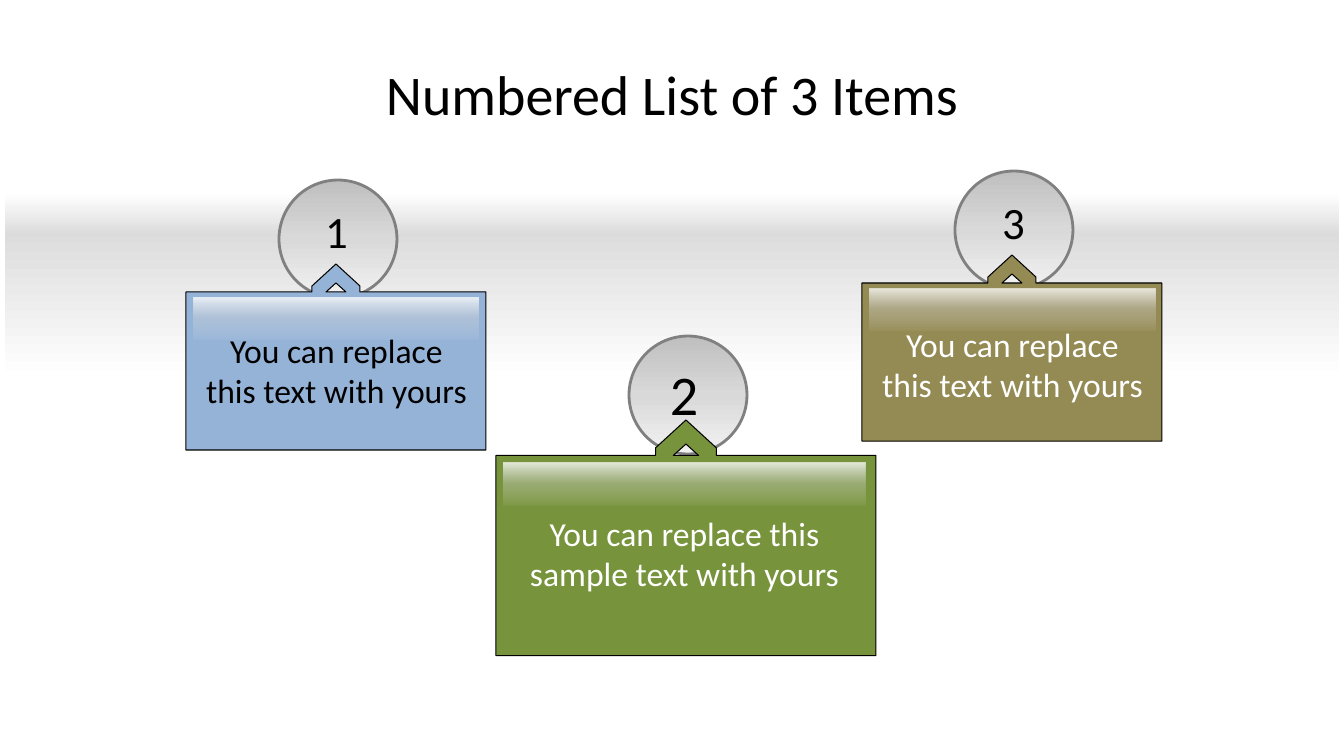
from lxml.etree import SubElement
from pptx import Presentation
from pptx.dml.color import RGBColor
from pptx.enum.shapes import MSO_SHAPE as Preset
from pptx.enum.text import MSO_ANCHOR as Anchor, PP_ALIGN as Align
from pptx.oxml.ns import qn
from pptx.util import Pt

PX = 914400 / 100.8
COLORS = {
    "black": "000000", "white": "FFFFFF", "blue": "95B3D7", "olive": "948A54",
    "green": "77933C", "rim": "808080", "silver": "BFBFBF", "mist": "D9D9D9",
    "pearl": "F2F2F2", "band": "DDDDDD", "band_edge": "DBDBDB",
}
TITLE = "Numbered List of 3 Items"
ITEMS = [
    {"number": "1", "caption": "You can replace this text with yours", "left": 186, "top": 264,
     "width": 300, "number_x": 336, "number_size": 32, "caption_top": 325,
     "fill": "blue", "ink": "black"},
    {"number": "3", "caption": "You can replace this text with yours", "left": 862, "top": 255,
     "width": 300, "number_x": 1013, "number_size": 32, "caption_top": 319,
     "fill": "olive", "ink": "white"},
    {"number": "2", "caption": "You can replace this sample text with yours", "left": 496,
     "top": 420, "width": 380, "number_x": 684, "number_size": 40, "caption_top": 508,
     "fill": "green", "ink": "white"},
]
BANDS = [
    (235, 143, [(0, "band", 100), (100, "white", 100)]),
    (193, 43, [(0, "white", 100), (100, "band_edge", 100)]),
]
BALL = [(0, "silver", 100), (50, "mist", 100), (100, "pearl", 100)]
GLOSS = [(0, "white", 81), (50, "mist", 35), (100, "pearl", 5)]
CARD_WIDTH = 300
CARD = [(174, 28), (174, 22), (150, 0), (126, 22), (126, 28),
        (0, 28), (0, 186), (300, 186), (300, 28)]
NOTCH = [(150, 19), (160, 28), (140, 28)]
BALL_SIZE, BALL_RISE, NUMBER_RISE = 118, 84, 65
GLOSS_TOP, GLOSS_HEIGHT, GLOSS_SHARE = 34, 42, 0.95


def emu(*lengths):
    return [round(length * PX) for length in lengths]


def rgb(name):
    return RGBColor.from_string(COLORS[name])


def outline(shape, color, width):
    shape.line.color.rgb = rgb(color)
    shape.line.width = Pt(width)


def add_gradient(parent, preset, box, stops):
    shape = parent.shapes.add_shape(preset, *emu(*box))
    shape.shadow.inherit = False
    shape.line.fill.background()
    shape.fill.gradient()
    shape.fill.gradient_angle = 270
    stop_list = shape.fill._fill._gradFill.find(qn("a:gsLst"))
    for old in list(stop_list):
        stop_list.remove(old)
    for position, color, opacity in stops:
        stop = SubElement(stop_list, qn("a:gs"), pos=str(position * 1000))
        value = SubElement(stop, qn("a:srgbClr"), val=COLORS[color])
        if opacity < 100:
            SubElement(value, qn("a:alpha"), val=str(opacity * 1000))
    return shape


def add_text(parent, text, box, size, color, anchor=Anchor.TOP, wrap=True):
    frame = parent.shapes.add_textbox(*emu(*box)).text_frame
    frame.word_wrap = wrap
    frame.vertical_anchor = anchor
    frame.text = text
    paragraph = frame.paragraphs[0]
    paragraph.alignment = Align.CENTER
    for key, value in {"name": "Calibri", "size": Pt(size)}.items():
        setattr(paragraph.font, key, value)
    paragraph.font.color.rgb = rgb(color)


def add_card(parent, item, ratio):
    builder = parent.shapes.build_freeform(*CARD[0], scale=PX * ratio)
    builder.add_line_segments(CARD[1:])
    builder.move_to(*NOTCH[0])
    builder.add_line_segments(NOTCH[1:])
    card = builder.convert_to_shape(*emu(item["left"], item["top"]))
    card.shadow.inherit = False
    card.fill.solid()
    card.fill.fore_color.rgb = rgb(item["fill"])
    outline(card, "black", 0)


def add_item(slide, item):
    group = slide.shapes.add_group_shape()
    left, top, width = item["left"], item["top"], item["width"]
    ratio = width / CARD_WIDTH
    ball_left = left + width / 2 - BALL_SIZE / 2 + 2
    ball = add_gradient(group, Preset.OVAL,
                        (ball_left, top - BALL_RISE, BALL_SIZE, BALL_SIZE), BALL)
    outline(ball, "rim", 2)
    add_card(group, item, ratio)
    number_width, number_height = item["number_size"] * 1.3, item["number_size"] * 2
    add_text(group, item["number"],
             (item["number_x"] - number_width / 2, top - NUMBER_RISE, number_width, number_height),
             item["number_size"], "black", wrap=False)
    inner_left, inner_width = left + 8, width * GLOSS_SHARE
    add_gradient(group, Preset.RECTANGLE,
                 (inner_left, top + GLOSS_TOP * ratio, inner_width, GLOSS_HEIGHT), GLOSS)
    add_text(group, item["caption"], (inner_left, item["caption_top"], inner_width, 92),
             24, item["ink"])


def main():
    deck = Presentation()
    deck.slide_width, deck.slide_height = emu(1344, 756)
    slide = deck.slides.add_slide(deck.slide_layouts[6])
    for top, height, stops in BANDS:
        add_gradient(slide, Preset.RECTANGLE, (5, top, 1334, height), stops)
    add_text(slide, TITLE, (67, 30, 1210, 126), 40, "black", Anchor.MIDDLE)
    for item in ITEMS:
        add_item(slide, item)
    deck.save("out.pptx")


if __name__ == "__main__":
    main()
